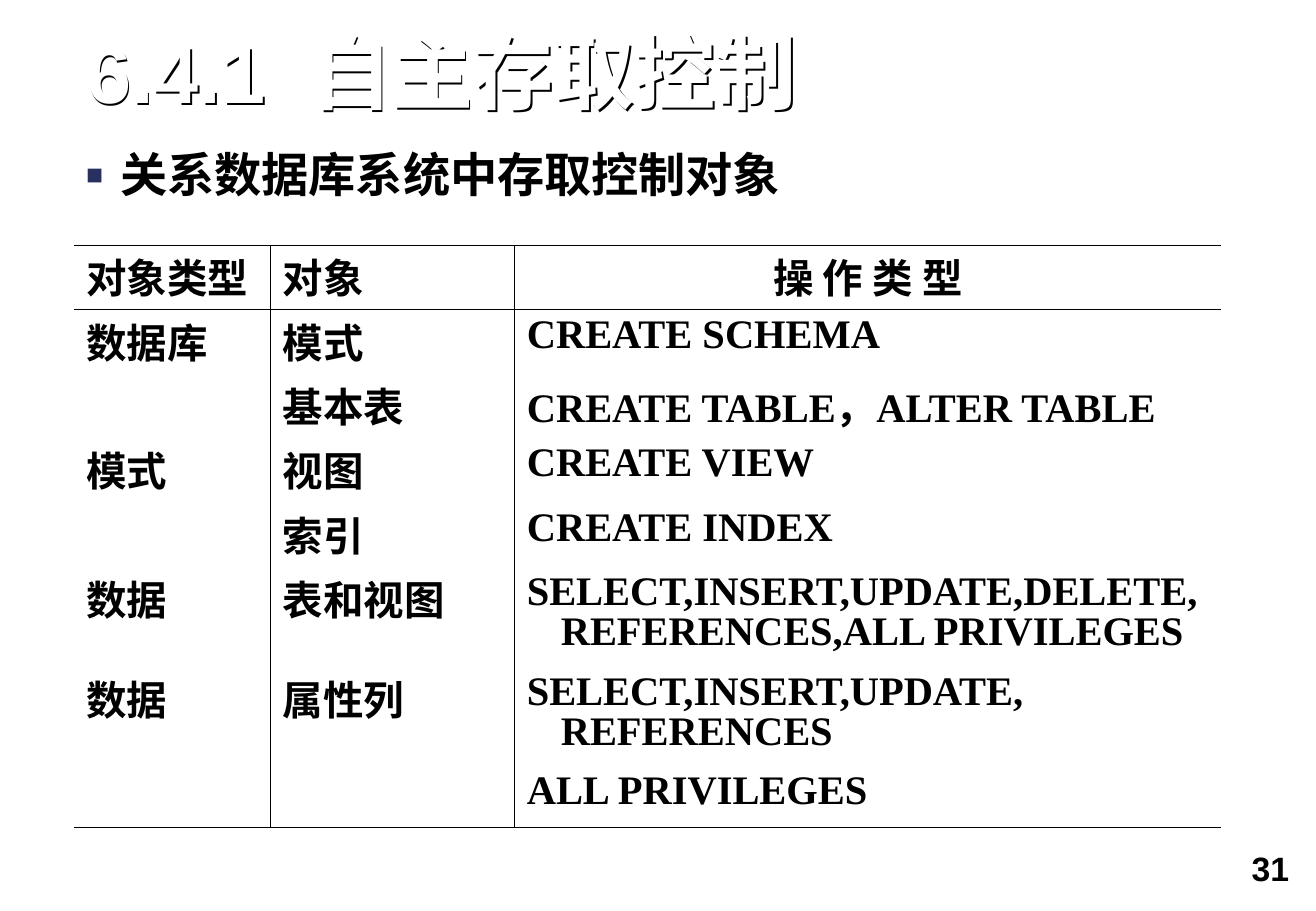
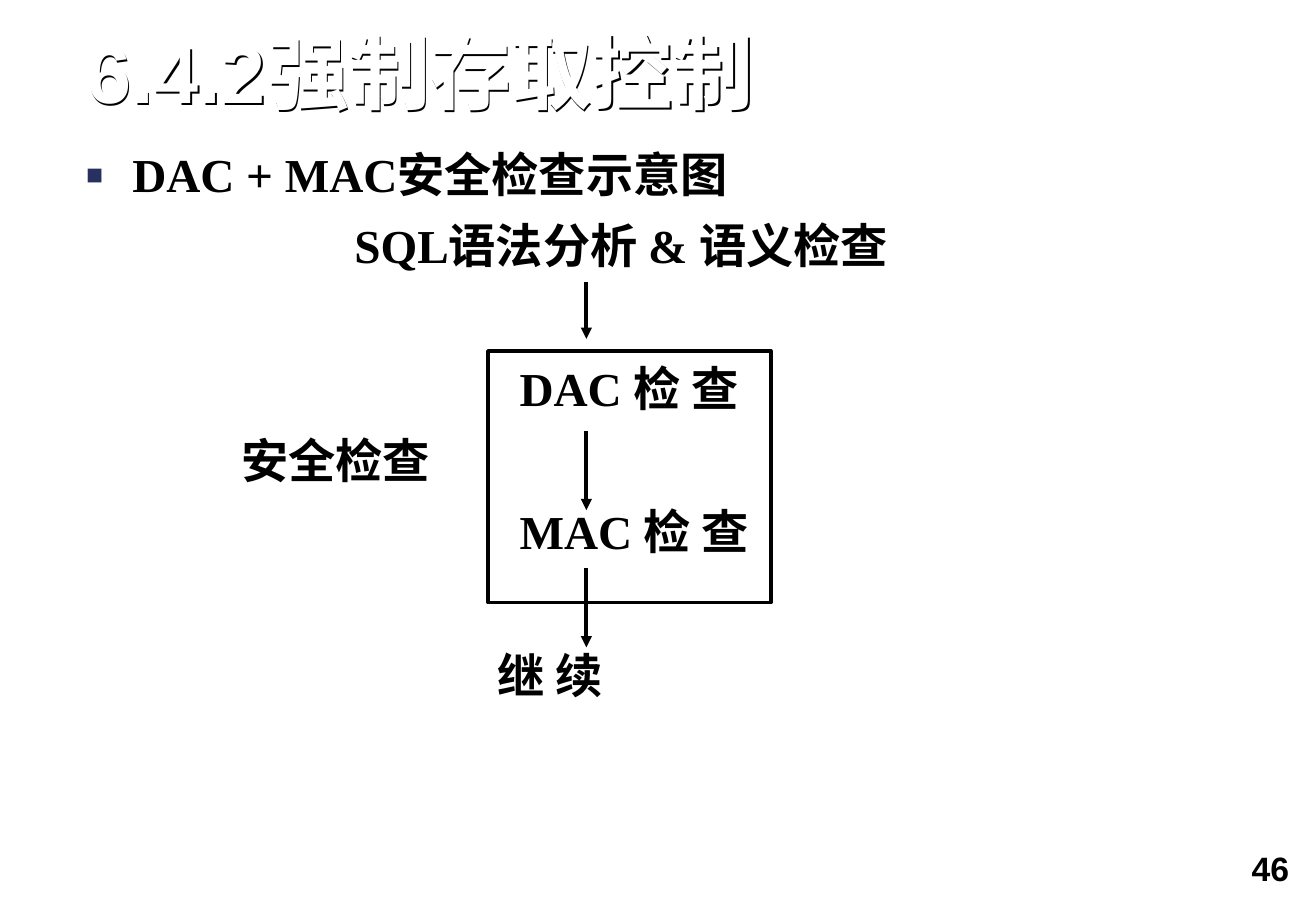
from lxml import etree
from pptx import Presentation
from pptx.dml.color import RGBColor
from pptx.enum.shapes import MSO_CONNECTOR, MSO_SHAPE
from pptx.enum.text import MSO_ANCHOR, MSO_AUTO_SIZE, PP_ALIGN
from pptx.oxml.ns import qn
from pptx.util import Inches, Pt

BLACK = RGBColor(0x00, 0x00, 0x00)
WHITE = RGBColor(0xFF, 0xFF, 0xFF)
NAVY = RGBColor(0x27, 0x30, 0x5F)
HEAD_FONT = "Arial"
BODY_FONT = "Times New Roman"
CENTER, RIGHT, JUSTIFY = PP_ALIGN.CENTER, PP_ALIGN.RIGHT, PP_ALIGN.JUSTIFY
BOTTOM = MSO_ANCHOR.BOTTOM
GROW = MSO_AUTO_SIZE.SHAPE_TO_FIT_TEXT
STRAIGHT = MSO_CONNECTOR.STRAIGHT
RECTANGLE = MSO_SHAPE.RECTANGLE

TITLE_BOX = (0.71, 0.28, 9.65, 0.72)
BULLET_BOX = (0.71, 1.25, 9.65, 0.42)
NUMBER_BOX = (8.01, 6.92, 2.74, 0.58)
TABLE_BOX = (0.61, 2.02, 9.45, 4.82)
FLOW_BOX = (0.87, 1.83, 7.1, 4.02)

COLUMN_WIDTHS = (1.62, 2.01, 5.82)
ROW_HEIGHTS = (0.53,) * 5 + (0.82, 0.82, 0.5)
CELL_INDENT = 0.28
ACCESS_ROWS = (
    ("对象类型", "对象", "操 作 类 型"),
    ("数据库", "模式", "CREATE SCHEMA"),
    ("", "基本表", "CREATE TABLE，ALTER TABLE"),
    ("模式", "视图", "CREATE VIEW"),
    ("", "索引", "CREATE INDEX"),
    ("数据", "表和视图", "SELECT,INSERT,UPDATE,DELETE,REFERENCES,ALL PRIVILEGES"),
    ("数据", "属性列", "SELECT,INSERT,UPDATE, REFERENCES"),
    ("", "", "ALL PRIVILEGES"),
)

STEP_PITCH = 0.59
STEPS = (
    (0, 2.05, 5.05, "SQL语法分析 & 语义检查"),
    (2, 3.41, 2.4, "DAC 检 查"),
    (3, 1.12, 2.0, "安全检查"),
    (4, 3.41, 2.4, "MAC 检 查"),
    (6, 3.23, 2.0, "继 续"),
)
ARROW_X = 3.96
ARROW_SPANS = ((0.49, 0.96), (1.72, 2.37), (2.85, 3.5))
CHECK_FRAME = (3.15, 1.06, 2.33, 2.07)


def add_xml(parent, tag, **attributes):
    return etree.SubElement(parent, qn(tag), attributes)


def add_color(parent, color):
    fill = add_xml(parent, "a:solidFill")
    add_xml(fill, "a:srgbClr", val=str(color))


def set_indent(para, indent):
    properties = para._p.get_or_add_pPr()
    properties.set("marL", str(Inches(indent)))
    properties.set("indent", str(-Inches(indent)))
    return properties


def style_para(para, size, font=BODY_FONT, color=BLACK, spacing=0.9, align=None):
    para.line_spacing = spacing
    para.alignment = align
    para.font.name = font
    para.font.size = Pt(size)
    para.font.bold = True
    para.font.color.rgb = color


def add_box(page, box, text, margins=(0, 0)):
    shape = page.shapes.add_textbox(*map(Inches, box))
    frame = shape.text_frame
    frame.word_wrap = True
    frame.margin_left = frame.margin_right = Inches(margins[0])
    frame.margin_top = frame.margin_bottom = Inches(margins[1])
    para = frame.paragraphs[0]
    para.text = text
    return shape, para


def add_title(page, box, text):
    shape, para = add_box(page, box, text)
    shape.text_frame.vertical_anchor = BOTTOM
    shape.text_frame.auto_size = GROW
    style_para(para, 48, HEAD_FONT, WHITE)
    effects = add_xml(shape._element.spPr, "a:effectLst")
    shadow = add_xml(effects, "a:outerShdw", dist=str(Inches(0.02)),
                     dir="2700000", algn="ctr", rotWithShape="0")
    add_xml(shadow, "a:srgbClr", val=str(BLACK))


def add_bullet(page, box, text, indent, align=None):
    para = add_box(page, box, text)[1]
    properties = set_indent(para, indent)
    color = add_xml(properties, "a:buClr")
    add_xml(color, "a:srgbClr", val=str(NAVY))
    add_xml(properties, "a:buSzPct", val="60000")
    add_xml(properties, "a:buFont", typeface=HEAD_FONT)
    add_xml(properties, "a:buChar", char="■")
    style_para(para, 28, align=align)


def add_number(page, box, number):
    para = add_box(page, box, str(number), (0.13, 0.06))[1]
    style_para(para, 20, HEAD_FONT, spacing=1.0, align=RIGHT)


def start_page(deck, title, bullet, indent, number, align=None):
    page = deck.slides.add_slide(deck.slide_layouts[6])
    add_number(page, NUMBER_BOX, number)
    add_title(page, TITLE_BOX, title)
    add_bullet(page, BULLET_BOX, bullet, indent, align)
    return page


def set_borders(cell, visible):
    properties = cell._tc.get_or_add_tcPr()
    for position, side in enumerate(("L", "R", "T", "B")):
        line = etree.Element(qn(f"a:ln{side}"), w=str(Pt(0.45)))
        if side in visible:
            add_color(line, BLACK)
        else:
            add_xml(line, "a:noFill")
        properties.insert(position, line)


def add_access_table(page, box):
    last_row, last_column = len(ACCESS_ROWS) - 1, len(COLUMN_WIDTHS) - 1
    table = page.shapes.add_table(
        last_row + 1, last_column + 1, *map(Inches, box)).table
    table.first_row = table.horz_banding = False
    for column, width in zip(table.columns, COLUMN_WIDTHS):
        column.width = Inches(width)
    for row, height in zip(table.rows, ROW_HEIGHTS):
        row.height = Inches(height)
    for i, texts in enumerate(ACCESS_ROWS):
        for j, text in enumerate(texts):
            cell = table.cell(i, j)
            cell.fill.background()
            sides = {"L": j > 0, "R": j < last_column,
                     "T": i <= 1, "B": i in (0, last_row)}
            set_borders(cell, [side for side in sides if sides[side]])
            para = cell.text_frame.paragraphs[0]
            if text:
                para.text = text
            set_indent(para, CELL_INDENT)
            heading = i == 0 and j == last_column
            style_para(para, 24, align=CENTER if heading else None)


def add_arrow(page, x, top, bottom):
    arrow = page.shapes.add_connector(
        STRAIGHT, Inches(x), Inches(top), Inches(x), Inches(bottom))
    arrow.line.color.rgb = BLACK
    arrow.line.width = Pt(2.25)
    add_xml(arrow.line._get_or_add_ln(), "a:tailEnd", type="triangle")
    add_xml(arrow._element.spPr, "a:effectLst")


def add_check_flow(page, box):
    left, top = box[:2]
    for row, x, width, text in STEPS:
        step_box = (left + x, top + row * STEP_PITCH, width, STEP_PITCH)
        para = add_box(page, step_box, text)[1]
        style_para(para, 28, align=JUSTIFY)
    for start, end in ARROW_SPANS:
        add_arrow(page, left + ARROW_X, top + start, top + end)
    x, y, width, height = CHECK_FRAME
    frame = page.shapes.add_shape(
        RECTANGLE, *map(Inches, (left + x, top + y, width, height)))
    frame.shadow.inherit = False
    frame.fill.background()
    frame.line.color.rgb = BLACK
    frame.line.width = Pt(2.25)


def main():
    deck = Presentation()
    deck.slide_width, deck.slide_height = Inches(10.84), Inches(7.5)
    page = start_page(deck, "6.4.1  自主存取控制",
                      "关系数据库系统中存取控制对象", 0.28, 31)
    add_access_table(page, TABLE_BOX)
    page = start_page(deck, "6.4.2\t强制存取控制",
                      "DAC + MAC安全检查示意图", 0.38, 46, JUSTIFY)
    add_check_flow(page, FLOW_BOX)
    deck.save("out.pptx")


if __name__ == "__main__":
    main()
